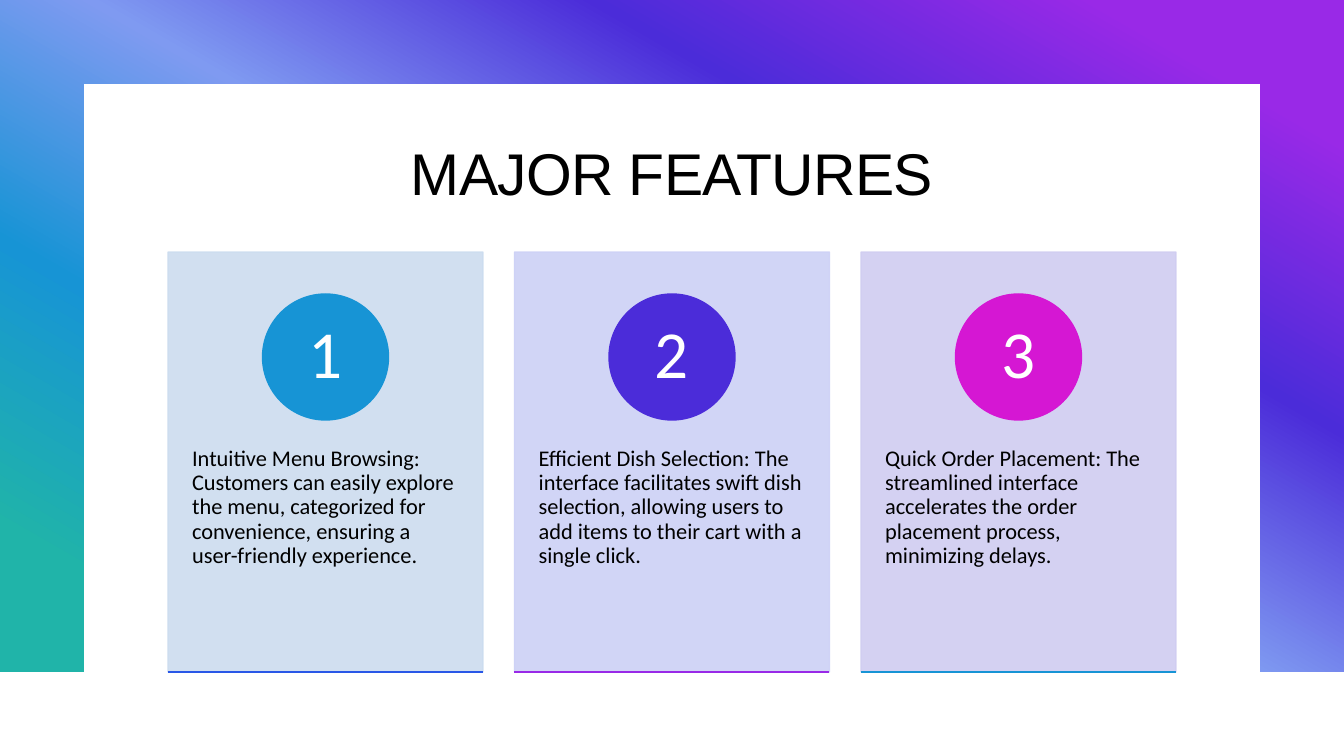
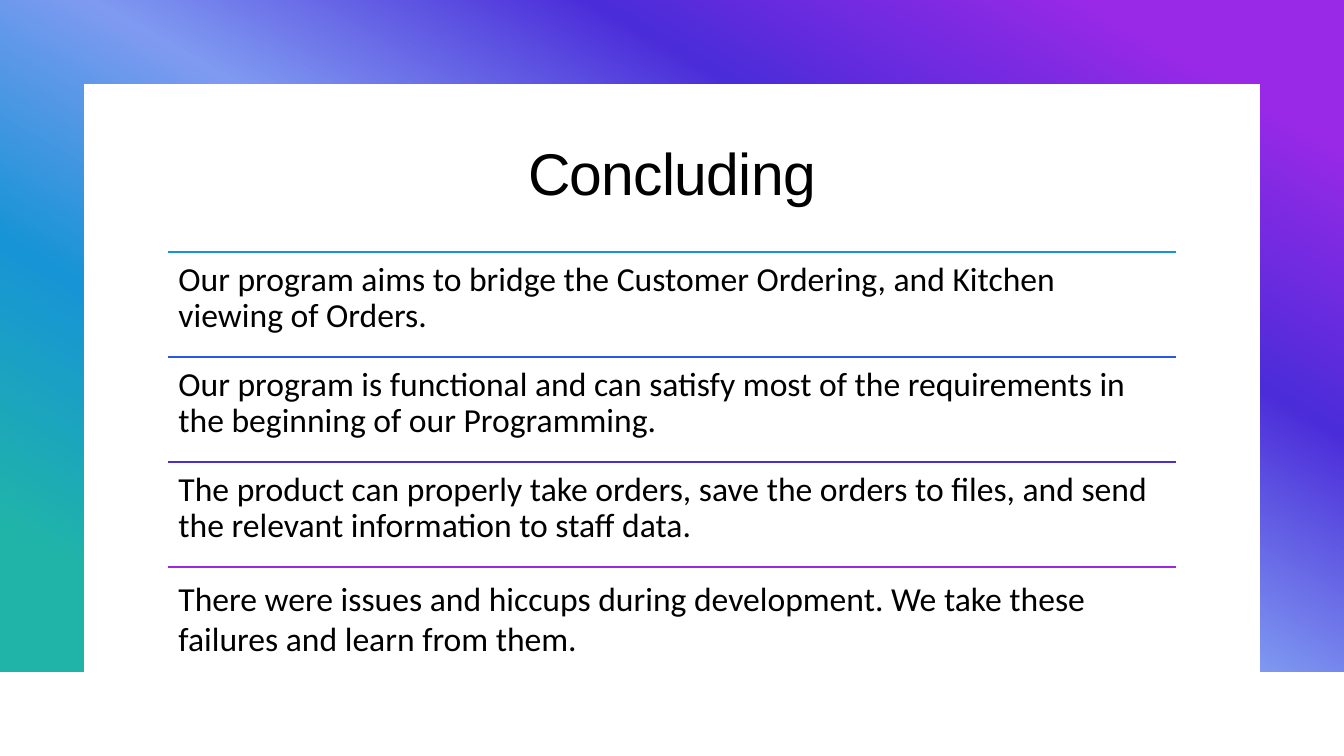
from lxml.etree import SubElement
from pptx import Presentation
from pptx.dml.color import RGBColor
from pptx.enum.shapes import MSO_CONNECTOR, MSO_SHAPE
from pptx.enum.text import MSO_ANCHOR as ANCHOR, PP_ALIGN as ALIGN
from pptx.oxml.ns import qn
from pptx.util import Pt

PX = 9525  # EMU per px, 96 px to the inch

# Colours
BLACK = RGBColor(0x00, 0x00, 0x00)
WHITE = RGBColor(0xFF, 0xFF, 0xFF)
TEAL = RGBColor(0x20, 0xB4, 0xA9)
SKY = RGBColor(0x17, 0x94, 0xD5)
BLUE = RGBColor(0x29, 0x57, 0xE7)
PERIWINKLE = RGBColor(0x7F, 0x9A, 0xF1)
INDIGO = RGBColor(0x4B, 0x2C, 0xD9)
PURPLE = RGBColor(0x99, 0x29, 0xE7)
MAGENTA = RGBColor(0xD5, 0x17, 0xD3)
PALE_SKY = RGBColor(0xCC, 0xDC, 0xEF)
PALE_BLUE = RGBColor(0xCD, 0xD1, 0xF6)
PALE_VIOLET = RGBColor(0xD0, 0xCD, 0xF1)
BAND_STOPS = [(10, PURPLE), (30, INDIGO), (50, PERIWINKLE), (70, SKY), (90, TEAL)]

# Shared layout, in px
SLIDE_W, SLIDE_H = 1280, 720
BAND_H = 640
PANEL_INSET = 80
LEFT, TOP, CONTENT_W, CONTENT_H = 160, 240, 960, 400
CARD_W, CARD_PITCH = 300, 330
CIRCLE = 120

# Number colour, card colour, bottom line colour, text
FEATURES = [
    (SKY, PALE_SKY, BLUE,
     "Intuitive Menu Browsing: Customers can easily explore the menu, "
     "categorized for convenience, ensuring a user-friendly experience."),
    (INDIGO, PALE_BLUE, PURPLE,
     "Efficient Dish Selection: The interface facilitates swift dish selection, "
     "allowing users to add items to their cart with a single click."),
    (MAGENTA, PALE_VIOLET, SKY,
     "Quick Order Placement: The streamlined interface accelerates the order "
     "placement process, minimizing delays."),
]

# Line colour, line spacing, text
CONCLUSIONS = [
    (SKY, 0.9, "Our program aims to bridge the Customer Ordering, and Kitchen "
               "viewing of Orders."),
    (BLUE, 0.9, "Our program is functional and can satisfy most of the requirements "
                "in the beginning of our Programming."),
    (INDIGO, 0.9, "The product can properly take orders, save the orders to files, "
                  "and send the relevant information to staff data."),
    (PURPLE, 1.0, "There were issues and hiccups during development. We take these "
                  "failures and learn from them."),
]


def px(*lengths):
    return [n * PX for n in lengths]


def add_shape(s, kind, box, color, outlined=False):
    sp = s.shapes.add_shape(kind, *px(*box))
    sp.shadow.inherit = False
    sp.fill.solid()
    sp.fill.fore_color.rgb = color
    if outlined:
        sp.line.color.rgb = color
        sp.line.width = Pt(1)
    else:
        sp.line.fill.background()
    return sp


def add_rule(s, x, y, width, color):
    line = s.shapes.add_connector(MSO_CONNECTOR.STRAIGHT, *px(x, y, x + width, y))
    line.line.color.rgb = color
    line.line.width = Pt(1)
    SubElement(line.element.spPr, qn("a:effectLst"))


def set_text(sp, text, size, color=BLACK, font="Calibri", align=ALIGN.LEFT,
             anchor=ANCHOR.TOP, margins=(10, 10, 10, 10), spacing=0.9):
    tf = sp.text_frame
    tf.word_wrap = True
    tf.vertical_anchor = anchor
    (tf.margin_left, tf.margin_top,
     tf.margin_right, tf.margin_bottom) = px(*margins)
    p = tf.paragraphs[0]
    p.text = text
    p.alignment = align
    p.line_spacing = spacing
    p.font.size = Pt(size)
    p.font.name = font
    p.font.color.rgb = color
    return p


def set_gradient(sp, stops, angle):
    sp.fill.gradient()
    sp.fill.gradient_angle = 360 - angle  # python-pptx counts anticlockwise
    gs_list = sp.element.spPr.find(".//" + qn("a:gsLst"))
    gs_list.clear()
    for percent, color in stops:
        gs = SubElement(gs_list, qn("a:gs"), pos=str(percent * 1000))
        SubElement(gs, qn("a:srgbClr"), val=str(color))


def set_opacity(sp, percent):
    for clr in sp.element.spPr.iter(qn("a:srgbClr")):
        SubElement(clr, qn("a:alpha"), val=str(percent * 1000))


def add_slide(prs, title):
    """Slide with the gradient band, white panel and centred title."""
    s = prs.slides.add_slide(prs.slide_layouts[5])
    band = add_shape(s, MSO_SHAPE.RECTANGLE, (0, 0, SLIDE_W, BAND_H), WHITE)
    set_gradient(band, BAND_STOPS, 120)
    add_shape(s, MSO_SHAPE.RECTANGLE,
              (PANEL_INSET, PANEL_INSET, SLIDE_W - 2 * PANEL_INSET,
               BAND_H - PANEL_INSET), WHITE)

    sp = s.shapes.title
    s.shapes.element.append(sp.element)  # bring the title above the panel
    sp.left, sp.top, sp.width, sp.height = px(LEFT, 119, CONTENT_W, 97)
    p = set_text(sp, title, 42, font="Arial", align=ALIGN.CENTER,
                 anchor=ANCHOR.MIDDLE, margins=(10, 5, 10, 5), spacing=0.95)
    p._p.pPr.get_or_add_defRPr().set("spc", "-50")
    return s


def add_card(s, number, x, accent, pale, rule, text):
    card = add_shape(s, MSO_SHAPE.RECTANGLE, (x, TOP, CARD_W, CONTENT_H), pale, True)
    set_opacity(card, 90)
    set_text(card, text, 16, margins=(23, 186, 23, 35))
    circle = add_shape(s, MSO_SHAPE.OVAL,
                       (x + (CARD_W - CIRCLE) // 2, TOP + 40, CIRCLE, CIRCLE),
                       accent, True)
    set_text(circle, str(number), 48, WHITE, align=ALIGN.CENTER,
             anchor=ANCHOR.MIDDLE, margins=(10, 1, 10, 1))
    add_rule(s, x, TOP + CONTENT_H, CARD_W, rule)


def add_row(s, y, height, color, spacing, text):
    add_rule(s, LEFT, y, CONTENT_W, color)
    box = s.shapes.add_textbox(*px(LEFT, y, CONTENT_W, height))
    set_text(box, text, 24, spacing=spacing)


def main():
    prs = Presentation()
    prs.slide_width, prs.slide_height = px(SLIDE_W, SLIDE_H)

    # Feature cards
    s = add_slide(prs, "MAJOR FEATURES")
    for i, feature in enumerate(FEATURES):
        add_card(s, i + 1, LEFT + i * CARD_PITCH, *feature)

    # Conclusions in ruled rows
    s = add_slide(prs, "Concluding")
    row_h = CONTENT_H // len(CONCLUSIONS)
    for i, conclusion in enumerate(CONCLUSIONS):
        add_row(s, TOP + i * row_h, row_h, *conclusion)

    prs.save("out.pptx")


if __name__ == "__main__":
    main()
